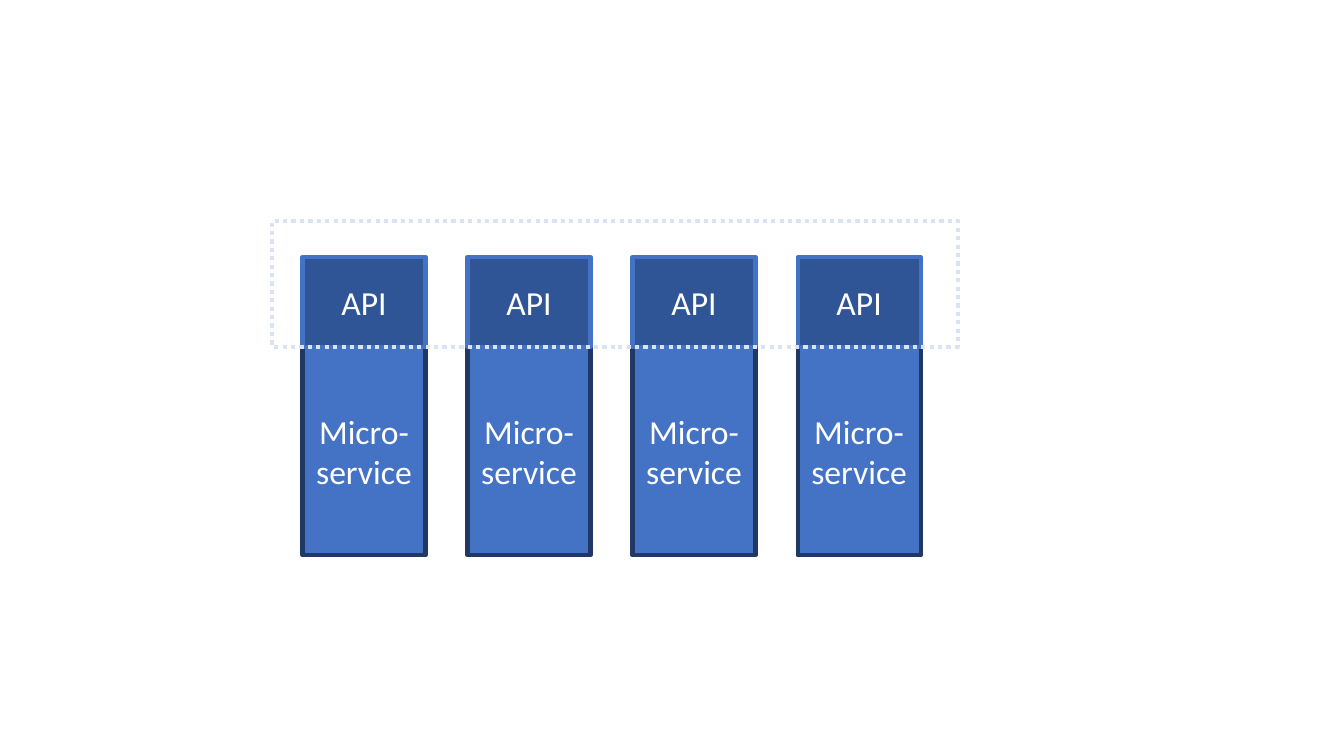
from pptx import Presentation
from pptx.dml.color import RGBColor
from pptx.enum.dml import MSO_LINE
from pptx.enum.shapes import MSO_SHAPE
from pptx.enum.text import MSO_ANCHOR, PP_ALIGN
from pptx.util import Inches, Pt

# One entry per service, left to right; each text is a list of paragraphs
SERVICES = [
    (["API"], ["Micro-", "service"]),
    (["API"], ["Micro-service"]),
    (["API"], ["Micro-service"]),
    (["API"], ["Micro-service"]),
]

COLORS = {
    "api": "2F5597",
    "service": "4472C4",
    "service_line": "203864",
    "gateway_line": "DAE3F3",
    "text": "FFFFFF",
}
FONT, FONT_SIZE, LINE_WIDTH = "Calibri", 24, 3

SLIDE_WIDTH, SLIDE_HEIGHT = 13.33, 7.5
COLUMN_LEFT, COLUMN_STEP, COLUMN_WIDTH = 3, 1.637, 1.22
API_TOP, API_HEIGHT, SERVICE_HEIGHT = 2.55, 0.89, 2.07
SERVICE_TOP = API_TOP + API_HEIGHT
GATEWAY_LEFT, GATEWAY_TOP, GATEWAY_WIDTH = 2.7, 2.19, 6.8


def color(name):
    return RGBColor.from_string(COLORS[name])


def add_box(slide, left, top, width, height, line, fill=None, lines=()):
    shape = slide.shapes.add_shape(
        MSO_SHAPE.RECTANGLE, Inches(left), Inches(top), Inches(width), Inches(height)
    )
    shape.shadow.inherit = False
    if fill:
        shape.fill.solid()
        shape.fill.fore_color.rgb = color(fill)
    else:
        shape.fill.background()
    shape.line.color.rgb = color(line)
    shape.line.width = Pt(LINE_WIDTH)

    frame = shape.text_frame
    frame.word_wrap = True
    frame.vertical_anchor = MSO_ANCHOR.MIDDLE
    for index, text in enumerate(lines):
        paragraph = frame.add_paragraph() if index else frame.paragraphs[0]
        paragraph.alignment = PP_ALIGN.CENTER
        run = paragraph.add_run()
        run.text = text
        run.font.name = FONT
        run.font.size = Pt(FONT_SIZE)
        run.font.color.rgb = color("text")
    return shape


def main():
    presentation = Presentation()
    presentation.slide_width = Inches(SLIDE_WIDTH)
    presentation.slide_height = Inches(SLIDE_HEIGHT)
    slide = presentation.slides.add_slide(presentation.slide_layouts[6])

    for column, (api, service) in enumerate(SERVICES):
        left = COLUMN_LEFT + column * COLUMN_STEP
        add_box(slide, left, SERVICE_TOP, COLUMN_WIDTH, SERVICE_HEIGHT,
                "service_line", "service", service)
        add_box(slide, left, API_TOP, COLUMN_WIDTH, API_HEIGHT,
                "service", "api", api)

    gateway = add_box(slide, GATEWAY_LEFT, GATEWAY_TOP, GATEWAY_WIDTH,
                      SERVICE_TOP - GATEWAY_TOP, "gateway_line")
    gateway.line.dash_style = MSO_LINE.ROUND_DOT

    presentation.save("out.pptx")


if __name__ == "__main__":
    main()
